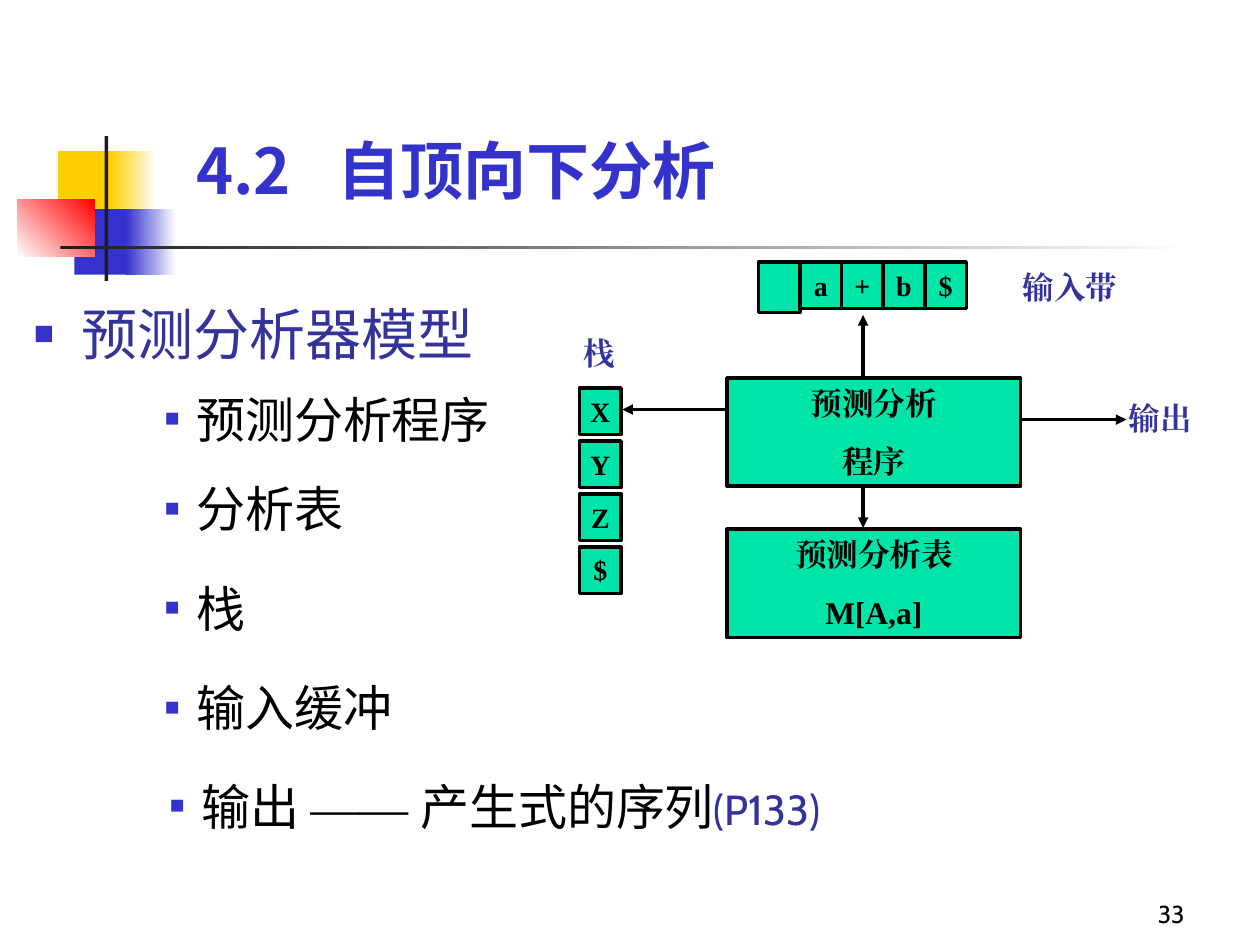
"""Build the slide on the predictive parser model."""
from lxml.etree import SubElement
from pptx import Presentation
from pptx.dml.color import RGBColor
from pptx.enum.shapes import MSO_CONNECTOR, MSO_SHAPE
from pptx.enum.text import MSO_ANCHOR, PP_ALIGN
from pptx.oxml.ns import qn
from pptx.util import Inches, Pt

BLACK, WHITE, DARK, BLUE, NAVY = "000000", "FFFFFF", "1C1C1C", "3333CC", "333399"
YELLOW, RED, GREEN = "FFCF01", "FF0000", "00E4A8"
CABIN, NOTO, TIMES = "Cabin", "Noto Sans CJK SC", "Times New Roman"


def color(value):
    return RGBColor.from_string(value)


def add_span(para, text, size, font, shade, bold=False):
    span = para.add_run()
    span.text = text
    span.font.size = Pt(size)
    span.font.name = font
    span.font.bold = bold
    span.font.color.rgb = color(shade)
    SubElement(span.font._element, qn("a:ea"), typeface=font)


deck = Presentation()
deck.slide_width, deck.slide_height = Inches(10), Inches(7.5)
page = deck.slides.add_slide(deck.slide_layouts[6])

decorations = [
    (0.46, 1.2, 0.48, 0.52, [YELLOW], 0),
    (0.88, 1.2, 0.36, 0.52, [YELLOW, WHITE], 0),
    (0.59, 1.66, 0.46, 0.52, [BLUE], 0),
    (1, 1.66, 0.4, 0.52, [BLUE, WHITE], 0),
    (0.14, 1.58, 0.61, 0.46, [WHITE, RED], 45),
    (0.83, 1.08, 0.03, 1.15, [DARK], 0),
    (0.48, 1.95, 9, 0.03, [DARK, WHITE], 0),
]
for left, top, width, height, shades, angle in decorations:
    block = page.shapes.add_shape(
        MSO_SHAPE.RECTANGLE, Inches(left), Inches(top), Inches(width), Inches(height))
    block.shadow.inherit = False
    block.line.fill.background()
    if len(shades) == 1:
        block.fill.solid()
        block.fill.fore_color.rgb = color(shades[0])
    else:
        block.fill.gradient()
        block.fill.gradient_angle = angle
        for stop, shade in zip(block.fill.gradient_stops, shades):
            stop.color.rgb = color(shade)

number = page.shapes.add_textbox(Inches(7.42), Inches(6.92), Inches(2.08), Inches(0.5))
number.text_frame.word_wrap = True
number.text_frame.vertical_anchor = MSO_ANCHOR.BOTTOM
para = number.text_frame.paragraphs[0]
para.alignment = PP_ALIGN.RIGHT
add_span(para, "33", 14, CABIN, BLACK)

title = page.shapes.add_textbox(Inches(1.46), Inches(0.76), Inches(7.46), Inches(0.93))
title.text_frame.word_wrap = True
title.text_frame.vertical_anchor = MSO_ANCHOR.BOTTOM
para = title.text_frame.paragraphs[0]
tabs = SubElement(para._p.get_or_add_pPr(), qn("a:tabLst"))
SubElement(tabs, qn("a:tab"), pos=str(Inches(1.12)), algn="l")
add_span(para, "4.2\t自顶向下分析", 36, NOTO, BLUE, True)

bullets = [
    (0.17, 2.33, 4.6, 0.71, 0, [("预测分析器模型", 32, CABIN, NAVY)]),
    (0.21, 3.04, 3.93, 0.63, 1, [("预测分析程序", 28, CABIN, BLACK)]),
    (0.21, 3.75, 3.66, 0.63, 1, [("分析表", 28, CABIN, BLACK)]),
    (0.21, 4.54, 3.66, 0.63, 1, [("栈", 28, CABIN, BLACK)]),
    (0.21, 5.33, 3.66, 0.63, 1, [("输入缓冲", 28, CABIN, BLACK)]),
    (0.25, 6.11, 8.61, 0.63, 1, [
        ("输出 ", 28, CABIN, BLACK), ("—— ", 28, TIMES, BLACK),
        ("产生式的序列", 28, CABIN, BLACK), ("(P133)", 24, CABIN, NAVY)]),
]
for left, top, width, height, level, spans in bullets:
    box = page.shapes.add_textbox(Inches(left), Inches(top), Inches(width), Inches(height))
    box.text_frame.word_wrap = True
    para = box.text_frame.paragraphs[0]
    para.level = level
    margin, hanging, percent = [(0.38, 0.38, 60), (1.25, 0.25, 50)][level]
    properties = para._p.get_or_add_pPr()
    properties.set("marL", str(Inches(margin)))
    properties.set("indent", str(-Inches(hanging)))
    SubElement(SubElement(properties, qn("a:buClr")), qn("a:srgbClr"), val=BLUE)
    SubElement(properties, qn("a:buSzPct"), val=str(percent * 1000))
    SubElement(properties, qn("a:buFont"), typeface=TIMES)
    SubElement(properties, qn("a:buChar"), char="■")
    for span in spans:
        add_span(para, *span)

cells = [(6.02, 2.08, 0.33, 0.4, [], 16, True)]
cells += [(6.35 + 0.33 * i, 2.08, 0.33, 0.37, [symbol], 16, True)
          for i, symbol in enumerate("a+b$")]
cells += [(4.6, 3.08 + 0.42 * i, 0.33, 0.37, [symbol], 16, True)
          for i, symbol in enumerate("XYZ$")]
cells += [
    (8.02, 2.08, 1.23, 0.4, ["输入带"], 18, False),
    (4.53, 2.6, 0.8, 0.4, ["栈"], 18, False),
    (8.86, 3.12, 0.79, 0.4, ["输出"], 18, False),
    (5.77, 3, 2.33, 0.86, ["预测分析", "程序"], 18, True),
    (5.77, 4.2, 2.33, 0.86, ["预测分析表", "M[A,a]"], 18, True),
]
for left, top, width, height, lines, size, framed in cells:
    box = page.shapes.add_shape(
        MSO_SHAPE.RECTANGLE, Inches(left), Inches(top), Inches(width), Inches(height))
    box.shadow.inherit = False
    box.fill.solid()
    box.fill.fore_color.rgb = color(GREEN if framed else WHITE)
    if framed:
        box.line.color.rgb = color(BLACK)
        box.line.width = Pt(2)
    else:
        box.line.fill.background()
    frame = box.text_frame
    frame.word_wrap = not framed
    frame.vertical_anchor = MSO_ANCHOR.TOP
    for i, line in enumerate(lines):
        para = frame.add_paragraph() if i else frame.paragraphs[0]
        para.alignment = PP_ALIGN.CENTER if framed else PP_ALIGN.LEFT
        if i:
            para.space_before = Pt(11.2)
        add_span(para, line, size, TIMES, BLACK if framed else NAVY, True)

arrows = [
    (6.85, 3, 6.85, 2.5),
    (5.77, 3.25, 4.94, 3.25),
    (6.85, 3.86, 6.85, 4.19),
    (8.1, 3.33, 8.94, 3.33),
]
for ends in arrows:
    arrow = page.shapes.add_connector(MSO_CONNECTOR.STRAIGHT, *map(Inches, ends))
    arrow.line.color.rgb = color(BLACK)
    arrow.line.width = Pt(2)
    SubElement(arrow.line._get_or_add_ln(), qn("a:tailEnd"), type="triangle")
    SubElement(arrow._element.spPr, qn("a:effectLst"))

deck.save("out.pptx")
